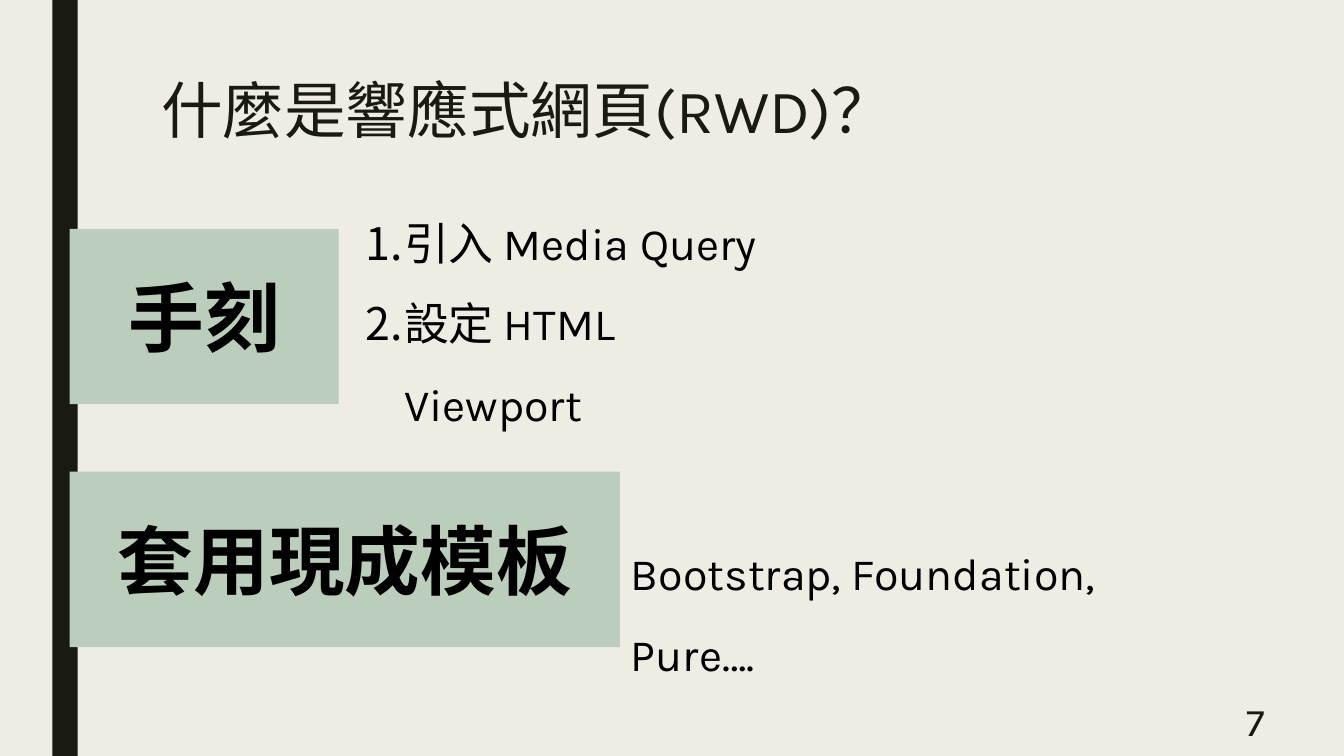
from pptx import Presentation
from pptx.dml.color import RGBColor
from pptx.enum.shapes import MSO_SHAPE as Shape
from pptx.enum.text import MSO_ANCHOR as Anchor, MSO_AUTO_SIZE as Fit, PP_ALIGN as Align
from pptx.util import Inches, Pt
from lxml.etree import SubElement
from pptx.oxml.ns import qn

CREAM = RGBColor(0xEF, 0xED, 0xE3)
DARK = RGBColor(0x19, 0x1B, 0x0E)
GREEN = RGBColor(0xBB, 0xCD, 0xBB)
BLACK = RGBColor(0, 0, 0)

deck = Presentation()
deck.slide_width, deck.slide_height = Inches(13.33), Inches(7.5)
slide = deck.slides.add_slide(deck.slide_layouts[6])
slide.background.fill.solid()
slide.background.fill.fore_color.rgb = CREAM


def block(left, top, width, height, color):
    box = slide.shapes.add_shape(
        Shape.RECTANGLE, Inches(left), Inches(top), Inches(width), Inches(height))
    box.shadow.inherit = False
    box.fill.solid()
    box.fill.fore_color.rgb = color
    box.line.fill.background()
    return box


def write(text, size, color=BLACK, box=None, at=None, bold=False, align=Align.LEFT,
          anchor=Anchor.TOP, gap=1.0, grow=False, left=0, hang=0):
    box = box or slide.shapes.add_textbox(*map(Inches, at))
    frame = box.text_frame
    frame.word_wrap = True
    frame.auto_size = Fit.SHAPE_TO_FIT_TEXT if grow else Fit.NONE
    frame.vertical_anchor = anchor
    frame.text = text
    for para in frame.paragraphs:
        para.alignment = align
        para.line_spacing = gap
        font = para.runs[0].font
        font.name, font.size, font.bold = "Karla", Pt(size), bold
        font.color.rgb = color
        props = para._p.get_or_add_pPr()
        props.set("marL", str(Inches(left)))
        props.set("indent", str(Inches(-hang)))
        if hang:
            SubElement(props, qn("a:buFont"), typeface="+mj-ea")
            SubElement(props, qn("a:buAutoNum"), type="arabicPeriod")


block(0.52, 0, 0.25, 7.5, DARK)
write("什麼是響應式網頁(RWD)？", 44, DARK, at=(1.5, 0.75, 10.5, 1.62), gap=0.89)

for label, top, width in [("手刻", 2.27, 2.67), ("套用現成模板", 4.68, 5.46)]:
    write(label, 54, box=block(0.69, top, width, 1.74, GREEN), bold=True,
          align=Align.CENTER, anchor=Anchor.MIDDLE)

write("引入 Media Query\n設定 HTML Viewport", 32, at=(3.16, 2.21, 4.81, 1.72),
      anchor=Anchor.MIDDLE, gap=1.5, grow=True, left=0.75, hang=0.38)
write("Bootstrap, Foundation, Pure….", 32, at=(5.78, 5.1, 6.33, 0.91),
      gap=1.5, grow=True, left=0.38)
write("7", 28, DARK, at=(10.89, 6.93, 1.75, 0.44), align=Align.RIGHT, anchor=Anchor.MIDDLE)

deck.save("out.pptx")
